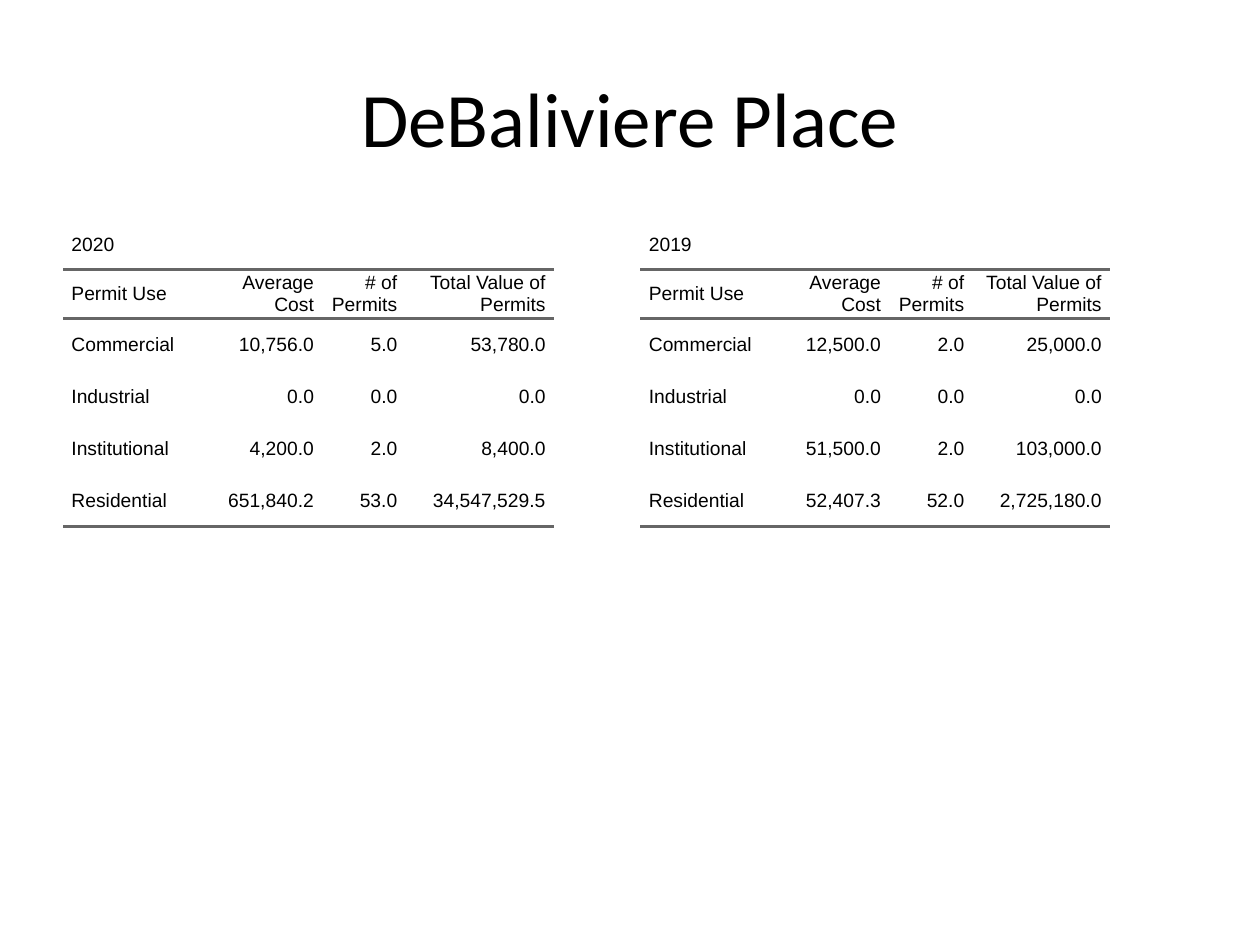
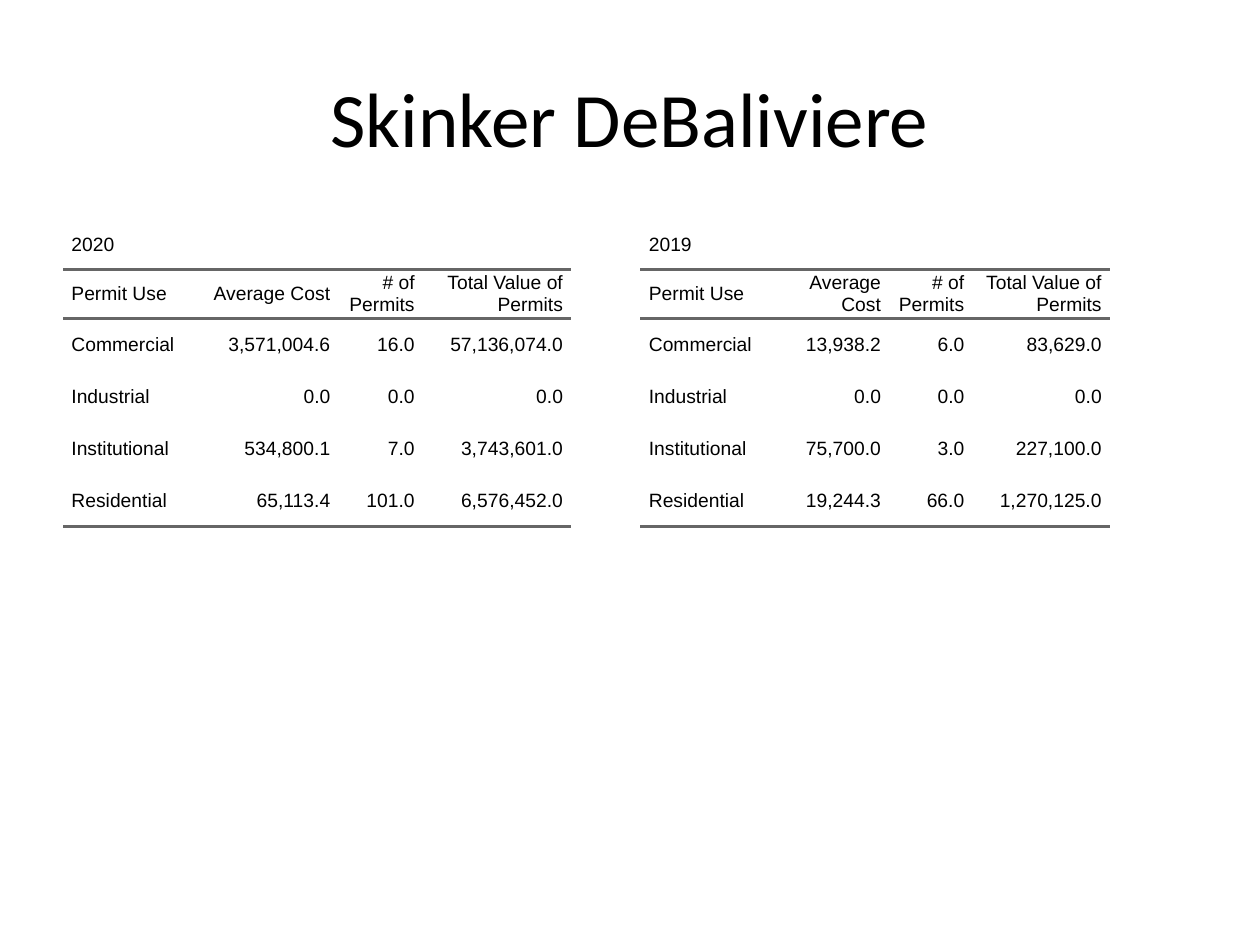
from dataclasses import dataclass

import pptx
import pptx.dml.color
import pptx.enum.text
import pptx.oxml
import pptx.oxml.ns
import pptx.util
from lxml import etree

Cm, Pt = pptx.util.Cm, pptx.util.Pt
ALIGN = pptx.enum.text.PP_ALIGN
MIDDLE = pptx.enum.text.MSO_ANCHOR.MIDDLE

HEADERS = ("Permit Use", "Average Cost", "# of Permits", "Total Value of Permits")
USES = ("Commercial", "Industrial", "Institutional", "Residential")

# Each year: column widths in cm, then average cost, permits and total per use
NEIGHBORHOODS = {
    "DeBaliviere Place": {
        "2020": ((2.79, 2.44, 1.68, 2.99), (
            (10756.0, 5, 53780.0),
            (0, 0, 0),
            (4200.0, 2, 8400.0),
            (651840.2, 53, 34547529.5),
        )),
        "2019": ((2.79, 2.23, 1.68, 2.77), (
            (12500.0, 2, 25000.0),
            (0, 0, 0),
            (51500.0, 2, 103000.0),
            (52407.3, 52, 2725180.0),
        )),
    },
    "Skinker DeBaliviere": {
        "2020": ((2.79, 2.77, 1.7, 2.99), (
            (3571004.6, 16, 57136074.0),
            (0, 0, 0),
            (534800.1, 7, 3743601.0),
            (65113.4, 101, 6576452.0),
        )),
        "2019": ((2.79, 2.23, 1.68, 2.77), (
            (13938.2, 6, 83629.0),
            (0, 0, 0),
            (75700.0, 3, 227100.0),
            (19244.3, 66, 1270125.0),
        )),
    },
}


@dataclass(frozen=True)
class Theme:
    text: str = "000000"
    rule: str = "666666"
    rule_width: int = 2
    title_font: str = "Calibri"
    title_size: int = 44
    table_font: str = "Arial"
    table_size: int = 11
    no_grid_style: str = "{2D5ABB26-0587-4C30-8999-92F81FD0307C}"


THEME = Theme()
TITLE_BOX = (1.27, 0.76, 22.86, 3.18)
TABLE_LEFTS = (1.27, 12.91)
TABLE_TOP = 4.44
HEAD_HEIGHT, BODY_HEIGHT = 0.99, 1.05
CELL_PAD = 0.17


def write(tf, text, font=THEME.table_font, size=THEME.table_size,
          color=THEME.text, align=ALIGN.LEFT):
    p = tf.paragraphs[0]
    p.alignment = align
    r = p.add_run()
    r.text = text
    r.font.name = font
    r.font.size = Pt(size)
    r.font.color.rgb = pptx.dml.color.RGBColor.from_string(color)


def add_rules(cell, sides):
    """Draw a rule on the given cell sides, named lnT or lnB in that order."""
    tcPr = cell._tc.get_or_add_tcPr()
    for side in sides:
        tcPr.append(pptx.oxml.parse_xml(
            f'<a:{side} {pptx.oxml.ns.nsdecls("a")} w="{Pt(THEME.rule_width)}">'
            f'<a:solidFill><a:srgbClr val="{THEME.rule}"/></a:solidFill></a:{side}>'))


def add_permit_table(s, left, year, widths, figures):
    rows = [(year, "", "", ""), HEADERS]
    rows += [(use, *(f"{v:,.1f}" for v in values))
             for use, values in zip(USES, figures)]
    heights = [HEAD_HEIGHT] * 2 + [BODY_HEIGHT] * len(USES)
    rules = {1: ("lnT", "lnB"), len(rows) - 1: ("lnB",)}

    table = s.shapes.add_table(len(rows), len(HEADERS), Cm(left), Cm(TABLE_TOP),
                               Cm(sum(widths)), Cm(sum(heights))).table
    table.first_row = table.horz_banding = False
    style = table._tbl.tblPr.find(pptx.oxml.ns.qn("a:tableStyleId"))
    style.text = THEME.no_grid_style
    for column, width in zip(table.columns, widths):
        column.width = Cm(width)

    for i, (texts, height) in enumerate(zip(rows, heights)):
        table.rows[i].height = Cm(height)
        for j, text in enumerate(texts):
            cell = table.cell(i, j)
            cell.vertical_anchor = MIDDLE
            cell.margin_left = cell.margin_right = Cm(CELL_PAD)
            cell.margin_top = cell.margin_bottom = 0
            add_rules(cell, rules.get(i, ()))
            cell.fill.background()
            if text:
                write(cell.text_frame, text, align=ALIGN.RIGHT if j else ALIGN.LEFT)
    table.cell(0, 0).merge(table.cell(0, len(HEADERS) - 1))


def add_neighborhood(prs, name, years):
    s = prs.slides.add_slide(prs.slide_layouts[5])
    title = s.shapes.title
    title.left, title.top, title.width, title.height = map(Cm, TITLE_BOX)
    title.text_frame.vertical_anchor = MIDDLE
    write(title.text_frame, name, font=THEME.title_font, size=THEME.title_size,
          align=ALIGN.CENTER)
    for left, (year, (widths, figures)) in zip(TABLE_LEFTS, years.items()):
        add_permit_table(s, left, year, widths, figures)


def main():
    prs = pptx.Presentation()
    prs.slide_width, prs.slide_height = Cm(25.4), Cm(19.05)
    for name, years in NEIGHBORHOODS.items():
        add_neighborhood(prs, name, years)
    prs.save("out.pptx")


if __name__ == "__main__":
    main()
